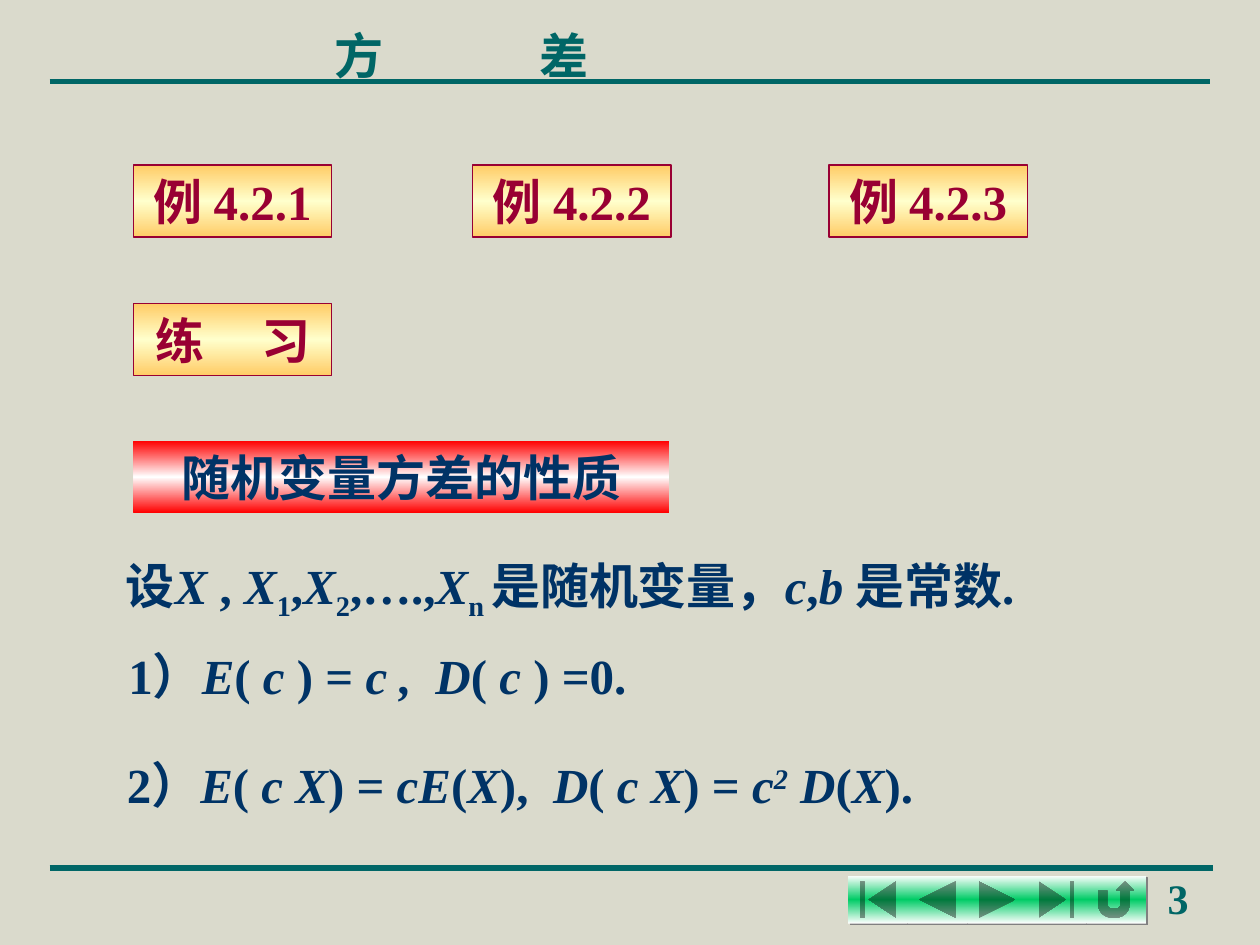
from copy import deepcopy

from lxml.etree import SubElement
from pptx import Presentation
from pptx.dml.color import RGBColor
from pptx.enum.shapes import MSO_CONNECTOR, MSO_SHAPE as Preset
from pptx.enum.text import MSO_ANCHOR, MSO_AUTO_SIZE, PP_ALIGN
from pptx.oxml.ns import qn
from pptx.util import Cm, Pt

LATIN, HAN = "Times New Roman", "Noto Sans CJK SC"
PAPER = RGBColor(0xDA, 0xDA, 0xCC)
TEAL = RGBColor(0x00, 0x66, 0x66)
NAVY = RGBColor(0x00, 0x33, 0x66)
WINE = RGBColor(0x99, 0x00, 0x33)
GOLD = RGBColor(0xFF, 0xCC, 0x66)
CREAM = RGBColor(0xFF, 0xFF, 0xCC)
RED = RGBColor(0xFF, 0x00, 0x00)
GREEN = RGBColor(0x00, 0xCC, 0x66)
WHITE = RGBColor(0xFF, 0xFF, 0xFF)

# Places are left, top, width, height in centimetres.
TITLE = ("方\t差", (2.9, 0.15, 17.15, 1.57))
RULES = [(1, 24.4, 1.65), (1, 24.46, 17.5)]  # left, right, height on slide
EXAMPLES = [("例 4.2.1", 2.69), ("例 4.2.2", 9.53), ("例 4.2.3", 16.71)]
EXAMPLE_TOP, LABEL_WIDTH, LABEL_HEIGHT = 3.33, 4, 1.45
EXERCISE = ("练\t习", (2.69, 6.12, LABEL_WIDTH, LABEL_HEIGHT))
HEADING = ("随机变量方差的性质", (2.69, 8.89, 10.8, LABEL_HEIGHT))
# Each run is text and style: i italic, _ subscript, ^ superscript.
FORMULAS = [
    ((2.29, 11.07, 23.06, 1.6),
     [("设", ""), ("X ", "i"), (",", ""), (" X", "i"), ("1", "_"), (",", ""),
      ("X", "i"), ("2", "_"), (",….,", ""), ("X", "i"), ("n ", "_"),
      ("是随机变量，", ""), ("c", "i"), (",", ""), ("b ", "i"), ("是常数.", "")]),
    ((2.34, 12.88, 17.58, 1.45),
     [("1）", ""), ("E", "i"), ("( ", ""), ("c ", "i"), (") = ", ""), ("c ,", "i")]),
    ((8.53, 12.88, 10.16, 1.45),
     [("D", "i"), ("( ", ""), ("c ", "i"), (") =0.", "")]),
    ((2.31, 15.09, 10.8, 1.45),
     [("2）", ""), ("E", "i"), ("( ", ""), ("c X", "i"), (") = ", ""),
      ("cE", "i"), ("(", ""), ("X", "i"), ("),", "")]),
    ((10.9, 15.09, 10.8, 1.45),
     [("D", "i"), ("( ", ""), ("c X", "i"), (") = ", ""), ("c", "i"),
      ("2", "i^"), (" D", "i"), ("(", ""), ("X", "i"), (").", "")]),
]
BUTTONS = [Preset.ACTION_BUTTON_BEGINNING, Preset.ACTION_BUTTON_BACK_OR_PREVIOUS,
           Preset.ACTION_BUTTON_FORWARD_OR_NEXT, Preset.ACTION_BUTTON_END,
           Preset.ACTION_BUTTON_RETURN]
BUTTON_LEFT, BUTTON_TOP, BUTTON_WIDTH, BUTTON_HEIGHT = 17.1, 17.65, 1.2, 0.97
PAGE_NUMBER = ("3", (23.29, 17.45, 2, 1.27))


def lengths(place):
    return [Cm(value) for value in place]


def write(shape, text, size=28, color=NAVY, font=LATIN, align=PP_ALIGN.LEFT,
          inset=0.25, bottom=0.13, tab=None, line_spacing=None):
    """Fill a shape with one paragraph; text is a string or a list of runs."""
    frame = shape.text_frame
    frame.word_wrap = True
    frame.auto_size = MSO_AUTO_SIZE.NONE
    frame.vertical_anchor = MSO_ANCHOR.TOP
    frame.margin_left, frame.margin_right = Cm(inset), Cm(0.25)
    frame.margin_top, frame.margin_bottom = Cm(0.13), Cm(bottom)
    paragraph = frame.paragraphs[0]
    paragraph.alignment = align
    paragraph.space_before = Pt(0)
    if line_spacing:
        paragraph.line_spacing = line_spacing
    if tab:
        tabs = SubElement(paragraph._p.get_or_add_pPr(), qn("a:tabLst"))
        SubElement(tabs, qn("a:tab"), pos=str(Cm(tab)), algn="l")
    for part, style in [(text, "")] if isinstance(text, str) else text:
        run = paragraph.add_run()
        run.text = part
        run.font.size, run.font.bold = Pt(size), True
        run.font.italic = "i" in style
        run.font.name = font
        run.font.color.rgb = color
        properties = run.font._element
        SubElement(properties, qn("a:ea"), typeface=HAN)
        if "_" in style:
            properties.set("baseline", "-25000")
        elif "^" in style:
            properties.set("baseline", "30000")


def add_banded(slide, preset, place, edge, middle, line=None):
    """Add a shape whose colour runs from edge to middle to edge, downwards."""
    shape = slide.shapes.add_shape(preset, *lengths(place))
    shape.shadow.inherit = False
    shape.fill.gradient()
    shape.fill.gradient_angle = 270
    stop_list = shape._element.spPr.find(qn("a:gradFill")).find(qn("a:gsLst"))
    stop_list.append(deepcopy(stop_list[-1]))
    stops = shape.fill.gradient_stops
    for stop, position, color in zip(stops, (0, 0.5, 1), (edge, middle, edge)):
        stop.position = position
        stop.color.rgb = color
    if line:
        shape.line.color.rgb = line
        shape.line.width = Pt(0.75)
    else:
        shape.line.fill.background()
    return shape


def add_rule(slide, left, right, top):
    rule = slide.shapes.add_connector(
        MSO_CONNECTOR.STRAIGHT, Cm(left), Cm(top), Cm(right), Cm(top))
    rule.line.color.rgb = TEAL
    rule.line.width = Pt(3)
    SubElement(rule._element.spPr, qn("a:effectLst"))


def add_button(slide, preset, left):
    button = add_banded(slide, preset, (left, BUTTON_TOP, BUTTON_WIDTH, BUTTON_HEIGHT),
                        WHITE, GREEN)
    effects = button._element.spPr.find(qn("a:effectLst"))
    shadow = SubElement(effects, qn("a:outerShdw"), dist=str(Pt(1.4)),
                        dir="2700000", algn="ctr", rotWithShape="0")
    SubElement(shadow, qn("a:srgbClr"), val="808080")


def add_label(slide, text, place, **text_format):
    label = add_banded(slide, Preset.RECTANGLE, place, GOLD, CREAM, line=WINE)
    write(label, text, color=WINE, **text_format)


def main():
    presentation = Presentation()
    presentation.slide_width, presentation.slide_height = Cm(25.4), Cm(19.05)
    slide = presentation.slides.add_slide(presentation.slide_layouts[5])
    slide.background.fill.solid()
    slide.background.fill.fore_color.rgb = PAPER

    for rule in RULES:
        add_rule(slide, *rule)
    for index, preset in enumerate(BUTTONS):
        add_button(slide, preset, BUTTON_LEFT + index * BUTTON_WIDTH)
    text, place = PAGE_NUMBER
    write(slide.shapes.add_textbox(*lengths(place)), text, size=24, color=TEAL)

    text, place = TITLE
    title = slide.shapes.title
    title.left, title.top, title.width, title.height = lengths(place)
    write(title, text, color=TEAL, inset=3.84, bottom=0.03, tab=4.14, line_spacing=1.2)

    for text, left in EXAMPLES:
        add_label(slide, text, (left, EXAMPLE_TOP, LABEL_WIDTH, LABEL_HEIGHT),
                  align=PP_ALIGN.CENTER)
    add_label(slide, *EXERCISE, inset=0.45, tab=2.13)
    text, place = HEADING
    heading = add_banded(slide, Preset.RECTANGLE, place, RED, WHITE)
    write(heading, text, font=HAN, align=PP_ALIGN.CENTER)
    for place, runs in FORMULAS:
        write(slide.shapes.add_textbox(*lengths(place)), runs)

    presentation.save("out.pptx")


if __name__ == "__main__":
    main()
